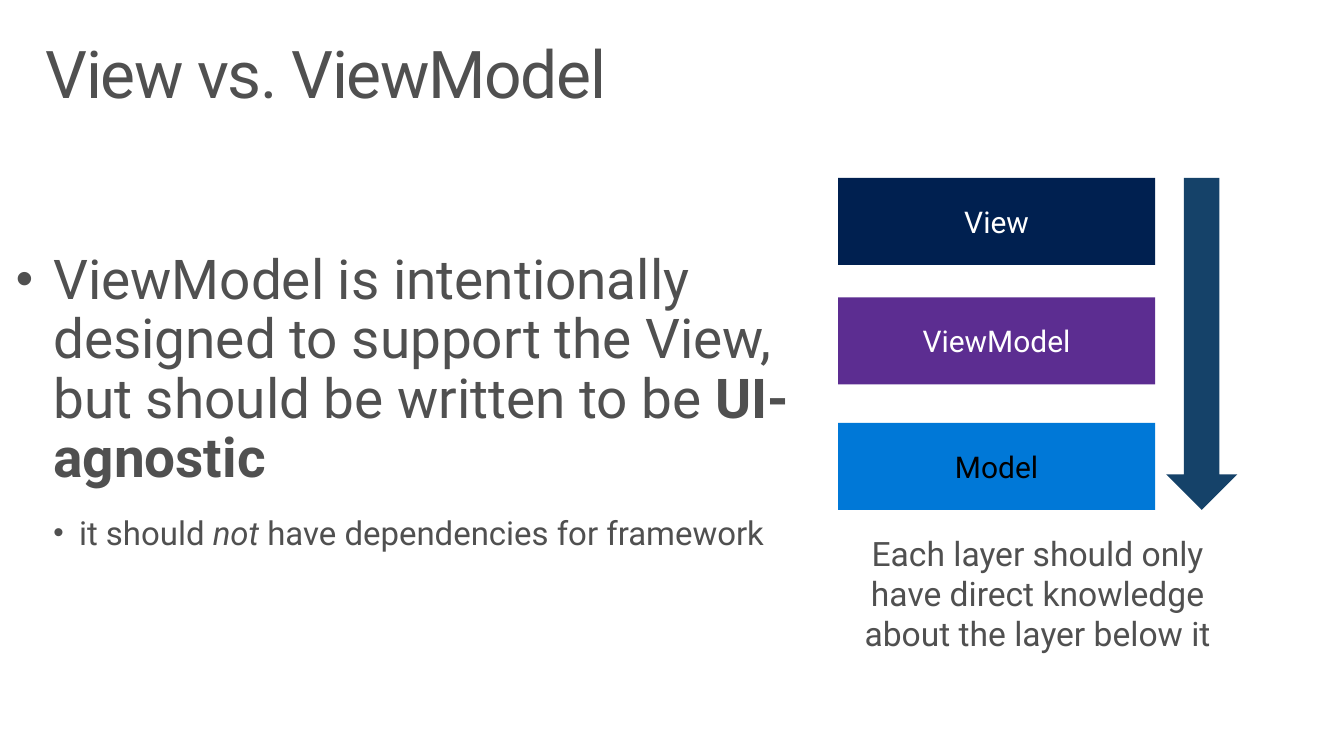
from pptx import Presentation
from pptx.dml.color import RGBColor
from pptx.enum.shapes import MSO_SHAPE
from pptx.enum.text import MSO_ANCHOR, MSO_AUTO_SIZE, PP_ALIGN
from pptx.oxml.ns import qn
from pptx.util import Emu, Pt
from lxml.etree import SubElement

PX = 9144  # 100 px to the inch

THEME = {
    "font": "Roboto",
    "text": "505050", "light": "FFFFFF", "dark": "000000",
    "view": "002050", "view_model": "5C2D91", "model": "0078D7", "arrow": "154269",
    "title_size": 48, "lead_size": 40, "detail_size": 24,
    "layer_size": 21.8, "caption_size": 24.5,
}


def px(*lengths):
    return [Emu(length * PX) for length in lengths]


def write(para, text, size, color="text", bold=False, italic=False, tracking=None):
    span = para.add_run()
    span.text = text
    span.font.name = THEME["font"]
    span.font.size = Pt(THEME[size])
    span.font.color.rgb = RGBColor.from_string(THEME[color])
    span.font.bold = bold
    span.font.italic = italic
    if tracking is not None:
        span.font._element.set("spc", str(tracking))


deck = Presentation()
deck.slide_width, deck.slide_height = px(1360, 765)
page = deck.slides.add_slide(deck.slide_layouts[1])
title, body = page.shapes.title, page.placeholders[1]

# Placeholder geometry
for holder, place in ((title, (30, 32, 1300, 100)), (body, (0, 245, 888, 330))):
    holder.left, holder.top, holder.width, holder.height = px(*place)
    frame = holder.text_frame
    frame.word_wrap = True
    frame.auto_size = MSO_AUTO_SIZE.NONE
    frame.vertical_anchor = MSO_ANCHOR.TOP
    frame.margin_left, frame.margin_right = px(16, 16)
    frame.margin_top, frame.margin_bottom = px(10, 10)

# Title
para = title.text_frame.paragraphs[0]
para.alignment = PP_ALIGN.LEFT
para.line_spacing = 0.9
write(para, "View vs. ViewModel", "title_size", tracking=-100)

# Bulleted list: level, left margin, hanging indent, space before, spans
bullets = [
    (0, 38, 38, 0, "lead_size", [
        ("ViewModel is intentionally designed to support the View, "
         "but should be written to be ", {}),
        ("UI-agnostic", {"bold": True})]),
    (1, 64, 26, 20, "detail_size", [
        ("it should ", {}),
        ("not", {"italic": True}),
        (" have dependencies for framework", {})]),
]
for level, margin, hanging, space, size, spans in bullets:
    para = body.text_frame.paragraphs[0] if level == 0 else body.text_frame.add_paragraph()
    para.level = level
    properties = para._p.get_or_add_pPr()
    properties.set("marL", str(margin * PX))
    properties.set("indent", str(-hanging * PX))
    SubElement(properties, qn("a:buSzPct")).set("val", "90000")
    SubElement(properties, qn("a:buFont")).set("typeface", "Arial")
    SubElement(properties, qn("a:buChar")).set("char", "•")
    para.line_spacing = 0.9
    para.space_before = Pt(space)
    for text, look in spans:
        write(para, text, size, **look)

# Layer boxes
layers = [
    ("View", 180, "view", "light"),
    ("ViewModel", 301, "view_model", "light"),
    ("Model", 428, "model", "dark"),
]
for name, top, fill, color in layers:
    box = page.shapes.add_shape(MSO_SHAPE.RECTANGLE, *px(848, top, 321, 88))
    box.shadow.inherit = False
    box.fill.solid()
    box.fill.fore_color.rgb = RGBColor.from_string(THEME[fill])
    box.line.fill.background()
    frame = box.text_frame
    frame.vertical_anchor = MSO_ANCHOR.MIDDLE
    frame.margin_left, frame.margin_right = px(14, 14)
    frame.margin_top, frame.margin_bottom = px(7, 7)
    para = frame.paragraphs[0]
    para.alignment = PP_ALIGN.CENTER
    write(para, name, "layer_size", color)

# Direction of knowledge
arrow = page.shapes.add_shape(MSO_SHAPE.DOWN_ARROW, *px(1180, 180, 72, 336))
arrow.shadow.inherit = False
arrow.fill.solid()
arrow.fill.fore_color.rgb = RGBColor.from_string(THEME["arrow"])
arrow.line.fill.background()

# Caption
caption = page.shapes.add_textbox(*px(848, 534, 404, 134))
caption.text_frame.word_wrap = True
para = caption.text_frame.paragraphs[0]
para.alignment = PP_ALIGN.CENTER
write(para, "Each layer should only have direct knowledge about the layer below it",
      "caption_size")

deck.save("out.pptx")
